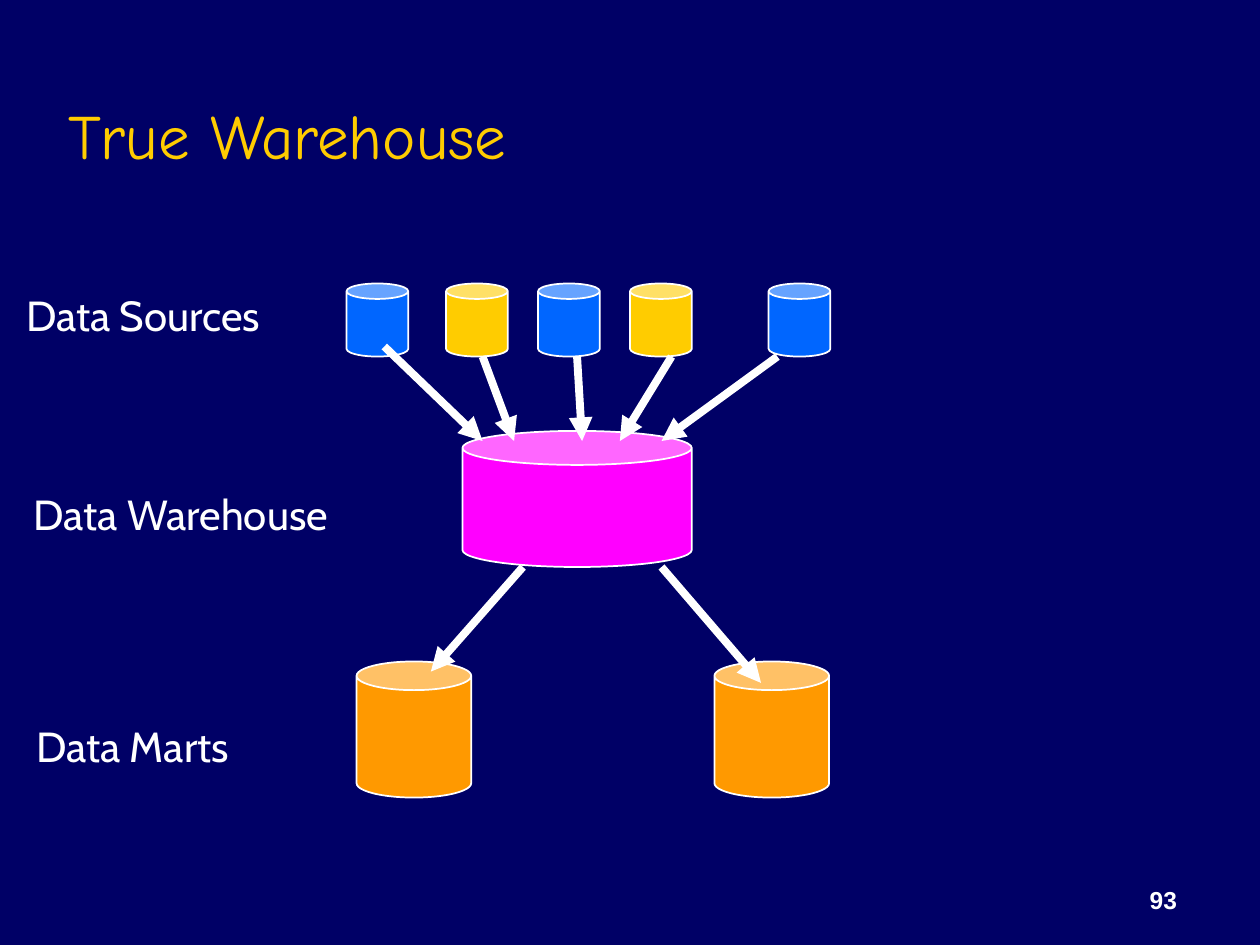
from lxml import etree
from pptx import Presentation
from pptx.dml.color import RGBColor
from pptx.enum import shapes, text
from pptx.oxml import ns
from pptx.util import Inches, Pt

THEME = {
    "background": "000066", "ink": "FFFFFF", "title": "FFCC00",
    "blue": "0066FF", "yellow": "FFCC00", "magenta": "FF00FF", "orange": "FF9900",
    "title_font": "Comic Neue", "label_font": "Cabin", "number_font": "Arial",
    "title_size": 36, "label_size": 24, "number_size": 14,
    "outline": 1, "arrow": 4.5,
}

TITLE = "True Warehouse"
PAGE_NUMBER = "93"

# Text, left, top, width
LABELS = [
    ("Data Sources", 0.11, 2.25, 2.26),
    ("Data Warehouse", 0.17, 3.83, 2.81),
    ("Data Marts", 0.19, 5.67, 1.93),
]

# Each tier: top, can width, can height, then (left, colour) of its cans
TIERS = [
    (2.25, 0.49, 0.58, [(2.75, "blue"), (3.54, "yellow"), (4.27, "blue"),
                        (5.0, "yellow"), (6.1, "blue")]),
    (3.42, 1.82, 1.08, [(3.67, "magenta")]),
    (5.25, 0.91, 1.08, [(2.83, "orange"), (5.67, "orange")]),
]

# Start point, end point
FLOWS = [
    ((3.05, 2.75), (3.83, 3.5)),
    ((3.83, 2.83), (4.08, 3.5)),
    ((4.58, 2.83), (4.62, 3.5)),
    ((5.33, 2.83), (4.92, 3.5)),
    ((6.17, 2.83), (5.25, 3.5)),
    ((4.15, 4.5), (3.42, 5.33)),
    ((5.25, 4.5), (6.04, 5.42)),
]


def color(name):
    return RGBColor.from_string(THEME[name])


def write(shape, content, *, role, ink="ink", bold=False, wrap=True,
          align=text.PP_ALIGN.LEFT, anchor=text.MSO_ANCHOR.TOP,
          fit=text.MSO_AUTO_SIZE.NONE):
    """Fill a shape with one line, using the font and size of its role."""
    frame = shape.text_frame
    frame.word_wrap = wrap
    frame.auto_size = fit
    frame.vertical_anchor = anchor
    paragraph = frame.paragraphs[0]
    paragraph.alignment = align
    run = paragraph.add_run()
    run.text = content
    run.font.name = THEME[role + "_font"]
    run.font.size = Pt(THEME[role + "_size"])
    run.font.bold = bold
    run.font.color.rgb = color(ink)


def add_can(slide, left, top, width, height, fill):
    can = slide.shapes.add_shape(shapes.MSO_SHAPE.CAN, *map(Inches, (left, top, width, height)))
    can.shadow.inherit = False
    can.adjustments[0] = 0.25
    can.fill.solid()
    can.fill.fore_color.rgb = color(fill)
    can.line.color.rgb = color("ink")
    can.line.width = Pt(THEME["outline"])


def add_arrow(slide, start, end):
    arrow = slide.shapes.add_connector(
        shapes.MSO_CONNECTOR.STRAIGHT, *map(Inches, (*start, *end)))
    arrow.line.color.rgb = color("ink")
    arrow.line.width = Pt(THEME["arrow"])
    etree.SubElement(arrow.line._get_or_add_ln(), ns.qn("a:tailEnd"), type="triangle")
    etree.SubElement(arrow._element.spPr, ns.qn("a:effectLst"))


def main():
    deck = Presentation()
    deck.slide_width, deck.slide_height = Inches(10), Inches(7.5)
    slide = deck.slides.add_slide(deck.slide_layouts.get_by_name("Title Only"))
    slide.background.fill.solid()
    slide.background.fill.fore_color.rgb = color("background")

    title = slide.shapes.title
    title.left, title.top, title.width, title.height = map(Inches, (0.44, 0.25, 8.5, 1.17))
    write(title, TITLE, role="title", ink="title", anchor=text.MSO_ANCHOR.BOTTOM)

    number = slide.shapes.add_textbox(*map(Inches, (7.36, 6.81, 2.08, 0.5)))
    write(number, PAGE_NUMBER, role="number", bold=True,
          align=text.PP_ALIGN.RIGHT, anchor=text.MSO_ANCHOR.BOTTOM)

    for top, width, height, cans in TIERS:
        for left, fill in cans:
            add_can(slide, left, top, width, height, fill)
    for start, end in FLOWS:
        add_arrow(slide, start, end)
    for content, left, top, width in LABELS:
        label = slide.shapes.add_textbox(*map(Inches, (left, top, width, 0.5)))
        write(label, content, role="label", wrap=False,
              fit=text.MSO_AUTO_SIZE.SHAPE_TO_FIT_TEXT)

    deck.save("out.pptx")


if __name__ == "__main__":
    main()
